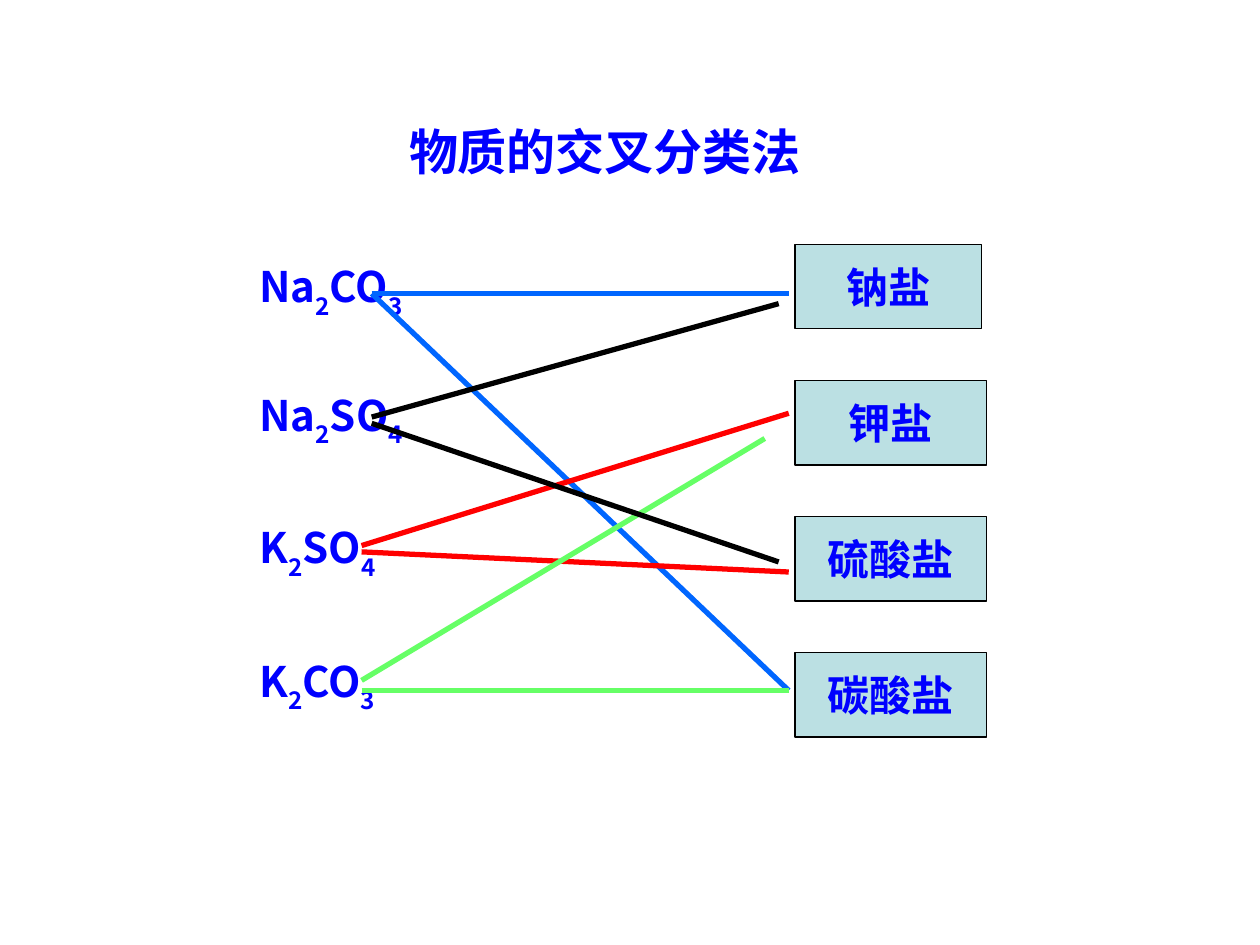
from lxml.etree import SubElement
from pptx import Presentation
from pptx.dml.color import RGBColor
from pptx.enum.shapes import MSO_CONNECTOR, MSO_SHAPE
from pptx.enum.text import MSO_ANCHOR, MSO_AUTO_SIZE, PP_ALIGN
from pptx.oxml.ns import qn
from pptx.util import Inches, Pt

FACE = "Noto Sans CJK SC"
HUES = {"text": "0000FF", "box": "BBE0E3", "black": "000000",
        "blue": "0066FF", "red": "FF0000", "green": "66FF66"}


def hue(name):
    return RGBColor.from_string(HUES[name])


def write(shape, text, size=24, anchor=MSO_ANCHOR.MIDDLE, align=PP_ALIGN.CENTER):
    """Fill a shape with bold text, setting digits as subscripts."""
    frame = shape.text_frame
    frame.word_wrap = True
    frame.vertical_anchor = anchor
    para = frame.paragraphs[0]
    para.alignment = align
    parts = [""]
    for char in text:
        if char.isdigit():
            parts += [char, ""]
        else:
            parts[-1] += char
    for part in filter(None, parts):
        run = para.add_run()
        run.text = part
        for key, value in {"name": FACE, "size": Pt(size), "bold": True}.items():
            setattr(run.font, key, value)
        run.font.color.rgb = hue("text")
        props = run.font._element
        SubElement(props, qn("a:ea"), typeface=FACE)
        if part.isdigit():
            props.set("baseline", "-30000")


deck = Presentation()
deck.slide_width, deck.slide_height = Inches(10), Inches(7.5)
slide = deck.slides.add_slide(deck.slide_layouts[6])
shapes = slide.shapes

# Title
title = shapes.add_textbox(Inches(1.61), Inches(0.91), Inches(6.38), Inches(0.57))
write(title, "物质的交叉分类法", size=28)
title.text_frame.auto_size = MSO_AUTO_SIZE.SHAPE_TO_FIT_TEXT

# Formulas on the left
for text, top, width in [("Na2SO4", 3.04, 1.94), ("Na2CO3", 2.02, 1.77),
                         ("K2CO3", 5.15, 1.69), ("K2SO4", 4.09, 1.73)]:
    label = shapes.add_textbox(Inches(1.96), Inches(top), Inches(width), Inches(0.67))
    write(label, text, anchor=MSO_ANCHOR.TOP, align=PP_ALIGN.LEFT)

# Salt classes on the right, evenly spaced
for row, (text, width) in enumerate([("钠盐", 1.48), ("钾盐", 1.52),
                                     ("硫酸盐", 1.52), ("碳酸盐", 1.52)]):
    box = shapes.add_shape(MSO_SHAPE.RECTANGLE, Inches(6.31),
                           Inches(1.94 + 1.08 * row), Inches(width), Inches(0.67))
    box.shadow.inherit = False
    box.fill.solid()
    box.fill.fore_color.rgb = hue("box")
    box.line.color.rgb = hue("black")
    box.line.width = Pt(0.75)
    write(box, text)

# Links from each formula to its two classes
links = [
    ("blue", 2.95, 2.33, 6.26, 5.48),
    ("black", 2.95, 3.31, 6.18, 2.41),
    ("red", 2.87, 4.38, 6.26, 4.54),
    ("green", 2.87, 5.48, 6.26, 5.48),
    ("green", 6.07, 3.48, 2.87, 5.4),
    ("red", 2.87, 4.33, 6.26, 3.28),
    ("black", 2.95, 3.36, 6.18, 4.46),
    ("blue", 2.95, 2.33, 6.26, 2.33),
]
for name, *ends in links:
    link = shapes.add_connector(MSO_CONNECTOR.STRAIGHT, *map(Inches, ends))
    link.line.color.rgb = hue(name)
    link.line.width = Pt(3)
    SubElement(link._element.spPr, qn("a:effectLst"))

deck.save("out.pptx")
